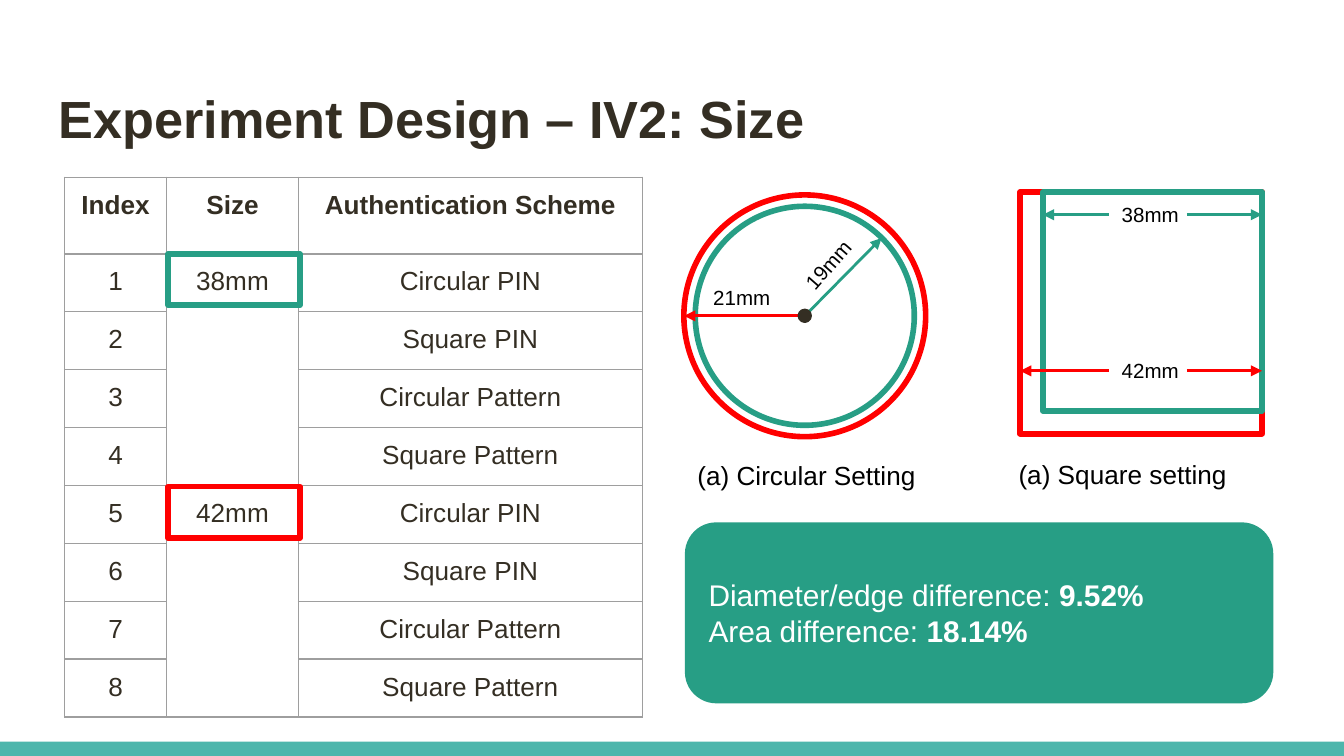
from lxml import etree
from pptx import Presentation
from pptx import util as u
from pptx.dml.color import RGBColor
from pptx.enum import shapes, text
from pptx.oxml.ns import qn

FONT = "Arial"
TEAL = RGBColor(0x27, 0x9E, 0x85)
RED = RGBColor(0xFF, 0x00, 0x00)
BAR = RGBColor(0x4D, 0xB6, 0xAC)
INK = RGBColor(0x34, 0x2E, 0x23)
GRID = RGBColor(0x9E, 0x9E, 0x9E)
BLACK = RGBColor(0x00, 0x00, 0x00)
WHITE = RGBColor(0xFF, 0xFF, 0xFF)

RECT = shapes.MSO_SHAPE.RECTANGLE
OVAL = shapes.MSO_SHAPE.OVAL
ROUNDED = shapes.MSO_SHAPE.ROUNDED_RECTANGLE
INSET = u.Cm(0.25)
MARGINS = dict.fromkeys(("margin_left", "margin_right", "margin_top", "margin_bottom"), INSET)

HEADERS = ["Index", "Size", "Authentication Scheme"]
SCHEMES = ["Circular PIN", "Square PIN", "Circular Pattern", "Square Pattern"]
SIZES = ["38mm", "42mm"]


def apply(target, values):
    for name, value in values.items():
        setattr(target, name, value)


def add_span(para, words, size, color, bold=False):
    span = para.add_run()
    span.text = words
    apply(span.font, {"name": FONT, "size": u.Pt(size), "bold": bold})
    span.font.color.rgb = color


def add_figure(page, kind, left, top, width, height, fill=None, line=None, weight=3):
    figure = page.shapes.add_shape(kind, u.Cm(left), u.Cm(top), u.Cm(width), u.Cm(height))
    figure.shadow.inherit = False
    if fill is None:
        figure.fill.background()
    else:
        figure.fill.solid()
        figure.fill.fore_color.rgb = fill
    if line is None:
        figure.line.fill.background()
    else:
        figure.line.color.rgb = line
        figure.line.width = u.Pt(weight)
        etree.SubElement(figure.line._get_or_add_ln(), qn("a:round"))
    return figure


def add_text(page, words, left, top, width, height, size, color=BLACK, bold=False, **frame):
    box = page.shapes.add_textbox(u.Cm(left), u.Cm(top), u.Cm(width), u.Cm(height))
    apply(box.text_frame, {"word_wrap": True, **frame})
    add_span(box.text_frame.paragraphs[0], words, size, color, bold)
    return box


def add_label(page, words, left, top, rotation=0):
    label = add_text(page, words, left, top, 2.08, 0.74, 11,
                     auto_size=text.MSO_AUTO_SIZE.SHAPE_TO_FIT_TEXT)
    label.rotation = rotation


def add_arrow(page, start, end, color):
    points = [u.Cm(value) for value in (*start, *end)]
    arrow = page.shapes.add_connector(shapes.MSO_CONNECTOR.STRAIGHT, *points)
    arrow.line.color.rgb = color
    arrow.line.width = u.Pt(1.5)
    etree.SubElement(arrow.line._get_or_add_ln(), qn("a:tailEnd"), type="triangle")
    etree.SubElement(arrow._element.spPr, qn("a:effectLst"))


def add_borders(cell):
    properties = cell._tc.get_or_add_tcPr()
    for position, side in enumerate(("lnL", "lnR", "lnT", "lnB")):
        border = etree.Element(qn(f"a:{side}"), w=str(u.Pt(0.75)))
        fill = etree.SubElement(border, qn("a:solidFill"))
        etree.SubElement(fill, qn("a:srgbClr"), val=str(GRID))
        properties.insert(position, border)


def add_scheme_table(page):
    widths = [1.93, 2.49, 6.5]
    heights = [1.45] + [1.02] * 8
    table = page.shapes.add_table(len(heights), len(widths), u.Cm(1.22), u.Cm(3.35),
                                  u.Cm(sum(widths)), u.Cm(sum(heights))).table
    apply(table, {"first_row": False, "horz_banding": False})
    for column, width in zip(table.columns, widths):
        column.width = u.Cm(width)
    for row, height in zip(table.rows, heights):
        row.height = u.Cm(height)

    count = len(SCHEMES)
    rows = [HEADERS]
    for index in range(count * len(SIZES)):
        group, member = divmod(index, count)
        rows.append([str(index + 1), "" if member else SIZES[group], SCHEMES[member]])
    for r, row in enumerate(rows):
        for c, words in enumerate(row):
            cell = table.cell(r, c)
            apply(cell, MARGINS)
            cell.fill.background()
            add_borders(cell)
            para = cell.text_frame.paragraphs[0]
            para.alignment = text.PP_ALIGN.CENTER
            if words:
                add_span(para, words, 14, INK, bold=r == 0)
            else:
                para.font.size = u.Pt(14)
    for first in range(1, len(rows), count):
        table.cell(first, 1).merge(table.cell(first + count - 1, 1))

    for top, color in ((4.8, TEAL), (9.2, RED)):
        add_figure(page, RECT, 3.18, top, 2.49, 0.97, line=color)


def add_square_setting(page):
    right = 23.85
    for side, color in ((4.57, RED), (4.14, TEAL)):
        add_figure(page, RECT, right - side, 3.63, side, side, line=color)
    for words, side, y, color in (("38mm", 4.14, 4.06, TEAL), ("42mm", 4.57, 7.01, RED)):
        add_arrow(page, (20.95, y), (right - side, y), color)
        add_arrow(page, (22.43, y), (right, y), color)
        add_label(page, words, 20.95, y - 0.36)
    add_text(page, "(a) Square setting", 19, 8.41, 4.85, 0.84, 14, **MARGINS)


def add_circular_setting(page):
    x, y = 15.21, 5.97
    for diameter, color in ((4.57, RED), (4.14, TEAL)):
        add_figure(page, OVAL, x - diameter / 2, y - diameter / 2, diameter, diameter, line=color)
    add_arrow(page, (15.29, 5.89), (16.66, 4.5), TEAL)
    add_arrow(page, (x, y), (12.93, y), RED)
    add_figure(page, OVAL, x - 0.1, y - 0.1, 0.2, 0.2, fill=INK, line=INK, weight=2)
    add_label(page, "21mm", 13.23, 5.26)
    add_label(page, "19mm", 14.78, 4.45, rotation=311.2)
    add_text(page, "(a) Circular Setting", 12.93, 8.43, 4.85, 0.84, 14, **MARGINS)


def add_summary(page):
    box = add_figure(page, ROUNDED, 12.98, 9.91, 11.05, 3.35, fill=TEAL, line=TEAL, weight=2)
    frame = box.text_frame
    apply(frame, {"word_wrap": True, "vertical_anchor": text.MSO_ANCHOR.MIDDLE})
    frame.add_paragraph()
    facts = [("Diameter/edge difference: ", "9.52%"), ("Area difference: ", "18.14%")]
    for para, (name, value) in zip(frame.paragraphs, facts):
        para.alignment = text.PP_ALIGN.LEFT
        add_span(para, name, 16, WHITE)
        add_span(para, value, 16, WHITE, bold=True)


def main():
    deck = Presentation()
    apply(deck, {"slide_width": u.Cm(25.4), "slide_height": u.Cm(14.29)})
    page = deck.slides.add_slide(deck.slide_layouts[6])
    add_figure(page, RECT, 0, 14.02, 25.4, 0.27, fill=BAR)
    add_text(page, "Experiment Design – IV2: Size", 0.86, 1.24, 23.67, 1.96, 28, INK, True,
             vertical_anchor=text.MSO_ANCHOR.MIDDLE, **MARGINS)
    add_scheme_table(page)
    add_square_setting(page)
    add_circular_setting(page)
    add_summary(page)
    deck.save("out.pptx")


if __name__ == "__main__":
    main()
